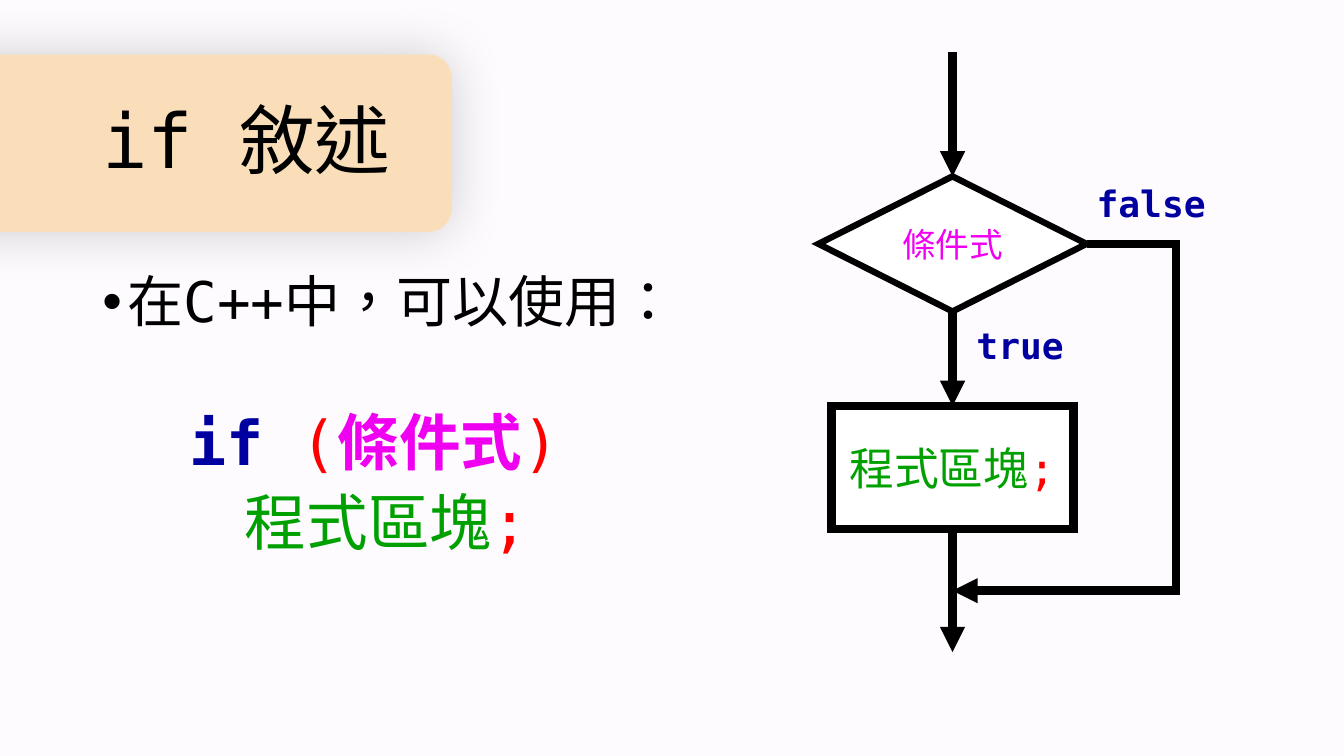
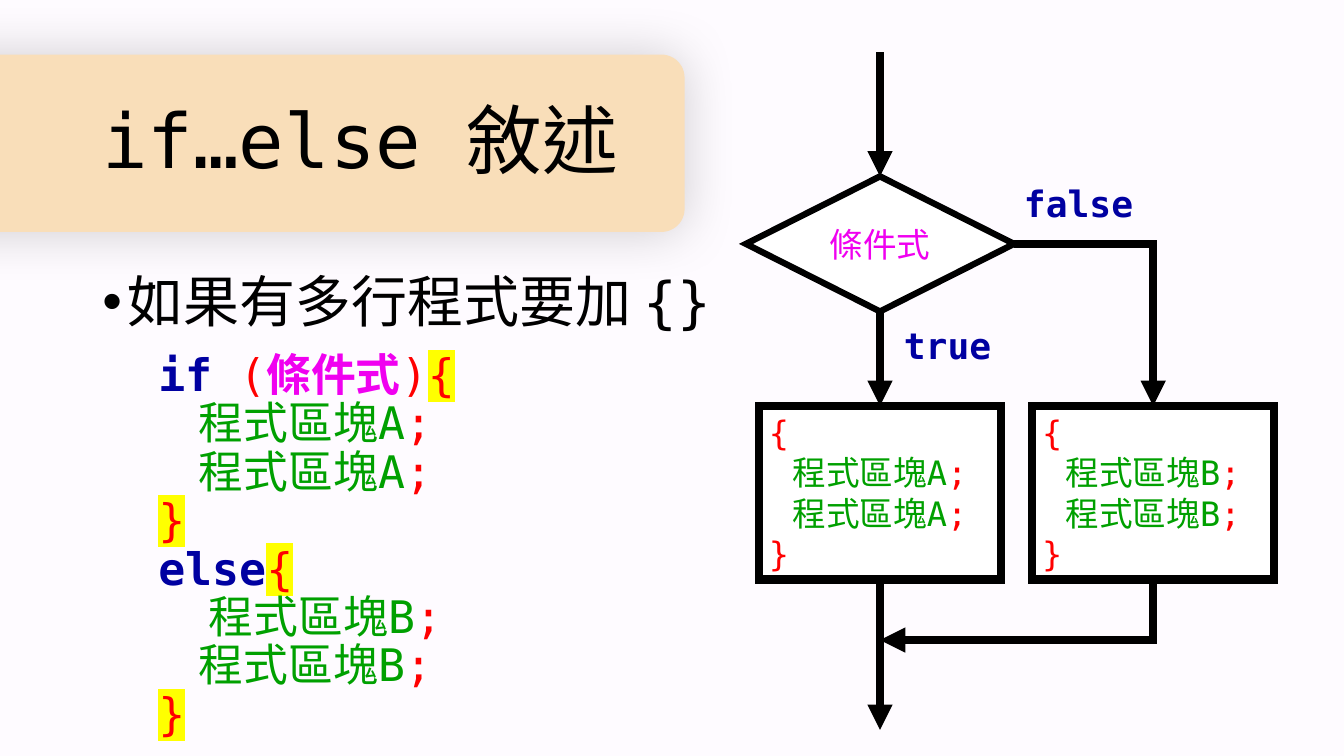
from dataclasses import dataclass
from typing import NamedTuple, Optional

import pptx
import pptx.dml.color
import pptx.enum.shapes
import pptx.enum.text
import pptx.oxml.ns
import pptx.util
from lxml import etree

Pt = pptx.util.Pt
RGBColor = pptx.dml.color.RGBColor
Shapes = pptx.enum.shapes.MSO_SHAPE
Connectors = pptx.enum.shapes.MSO_CONNECTOR
Anchor = pptx.enum.text.MSO_ANCHOR
Align = pptx.enum.text.PP_ALIGN
AutoSize = pptx.enum.text.MSO_AUTO_SIZE
qn = pptx.oxml.ns.qn


@dataclass(frozen=True)
class Theme:
    page: str = "FEFBFF"
    band: str = "F9DEB9"
    ink: str = "000000"
    white: str = "FFFFFF"
    keyword: str = "0000A1"
    symbol: str = "FF0000"
    condition: str = "F000F0"
    block: str = "00A000"
    marker: str = "FFFF00"
    font: str = "DejaVu Sans Mono"
    east_asian: str = "Calibri"
    title_size: float = 54
    body_size: float = 40
    label_size: float = 25.9
    small_size: float = 24
    code_size: float = 32
    large_code_size: float = 44
    thin: float = 4.5
    thick: float = 6


THEME = Theme()


class Span(NamedTuple):
    text: str
    color: str = THEME.ink
    bold: bool = False
    highlight: Optional[str] = None


class Line(NamedTuple):
    spans: list[Span]
    align: Align = Align.LEFT


class Area(NamedTuple):
    left: float
    top: float
    width: float
    height: float


class Point(NamedTuple):
    x: float
    y: float


@dataclass(frozen=True)
class Lesson:
    title: str
    band_right: float
    bullet: str
    code: list[Line]
    code_area: Area
    code_size: float
    code_gap: float
    axis: float
    block: list[Line]
    block_height: float
    block_size: float
    exit_end: float
    merge: float
    bypass: float
    else_block: Optional[list[Line]] = None


TITLE = Area(66, 51, 828, 104.4)
BODY = Area(66, 192, 828, 294.5)
BAND_LEFT, BAND_TOP, BAND_HEIGHT = -113, 39, 126.7
ENTRY_TOP = 37.4
DECISION_TOP, DECISION_WIDTH, DECISION_HEIGHT = 126, 191.5, 96.5
BLOCK_TOP, BLOCK_WIDTH = 290, 172.8

SEMICOLON = Span(";", THEME.symbol)
CONDITION = Span("條件式", THEME.condition)
OPEN = Span("{", THEME.symbol)
CLOSE = Span("}", THEME.symbol)
MARKED_OPEN = OPEN._replace(highlight=THEME.marker)
MARKED_CLOSE = CLOSE._replace(highlight=THEME.marker)
IF_HEAD = [
    Span("if ", THEME.keyword, True),
    Span("(", THEME.symbol),
    CONDITION._replace(bold=True),
    Span(")", THEME.symbol),
]


def statement(name: str, indent: str = "") -> list[Span]:
    lead = [Span(indent)] if indent else []
    return lead + [Span(name, THEME.block), SEMICOLON]


def braced(name: str) -> list[Line]:
    centred = Line(statement(name), Align.CENTER)
    return [Line([OPEN]), centred, centred, Line([CLOSE])]


def write(frame, lines: list[Line], size: float, spacing: float = 1, gap: float = 0) -> None:
    frame.word_wrap = True
    frame.auto_size = AutoSize.NONE
    for index, line in enumerate(lines):
        para = frame.paragraphs[0] if index == 0 else frame.add_paragraph()
        para.alignment = line.align
        para.line_spacing = spacing
        para.space_before = Pt(gap if index else 0)
        for span in line.spans:
            run = para.add_run()
            run.text = span.text
            run.font.size = Pt(size)
            run.font.bold = span.bold
            run.font.color.rgb = RGBColor.from_string(span.color)
            properties = run.font._element
            properties.set("lang", "zh-TW")
            if span.highlight:
                mark = etree.SubElement(properties, qn("a:highlight"))
                etree.SubElement(mark, qn("a:srgbClr"), val=span.highlight)
            run.font.name = THEME.font
            etree.SubElement(properties, qn("a:ea"), typeface=THEME.east_asian)


def place(shape, area: Area) -> None:
    shape.left, shape.top, shape.width, shape.height = map(Pt, area)


def add_text(page, area: Area, lines: list[Line], size: float,
             spacing: float, gap: float = 0) -> None:
    box = page.shapes.add_textbox(*map(Pt, area))
    box.text_frame.vertical_anchor = Anchor.MIDDLE
    write(box.text_frame, lines, size, spacing, gap)


def add_label(page, area: Area, word: str) -> None:
    add_text(page, area, [Line([Span(word, THEME.keyword, True)])], THEME.label_size, 0.8)


def stroke(shape, width: float):
    """Give a black mitred outline and return its XML element."""
    shape.line.color.rgb = RGBColor.from_string(THEME.ink)
    shape.line.width = Pt(width)
    outline = shape.element.spPr.find(qn("a:ln"))
    etree.SubElement(outline, qn("a:miter"), lim="800000")
    return outline


def add_node(page, kind: Shapes, area: Area, lines: list[Line], size: float, width: float):
    node = page.shapes.add_shape(kind, *map(Pt, area))
    node.shadow.inherit = False
    node.fill.solid()
    node.fill.fore_color.rgb = RGBColor.from_string(THEME.white)
    stroke(node, width)
    node.text_frame.vertical_anchor = Anchor.MIDDLE
    write(node.text_frame, lines, size)
    return node


def add_arrow(page, start: Point, end: Point, kind: Connectors = Connectors.STRAIGHT,
              arrow_end: str = "a:tailEnd"):
    arrow = page.shapes.add_connector(kind, *map(Pt, start + end))
    etree.SubElement(stroke(arrow, THEME.thick), qn(arrow_end), type="triangle")
    etree.SubElement(arrow.element.spPr, qn("a:effectLst"))
    return arrow


def add_corner(page, start: Point, end: Point, arrow_end: str = "a:tailEnd") -> None:
    """Draw an elbow that runs across first, then turns once."""
    arrow = add_arrow(page, start, end, Connectors.ELBOW, arrow_end)
    arrow.element.spPr.find(qn("a:prstGeom")).set("prst", "bentConnector2")


def add_bypass(page, start: Point, end: Point, turn: float) -> None:
    """Draw an elbow whose upright part stands at x = turn."""
    arrow = add_arrow(page, start, end, Connectors.ELBOW)
    ratio = round((turn - start.x) / (end.x - start.x) * 100000)
    guides = arrow.element.spPr.find(qn("a:prstGeom")).get_or_add_avLst()
    etree.SubElement(guides, qn("a:gd"), name="adj1", fmla=f"val {ratio}")


def add_band(page, right: float) -> None:
    area = Area(BAND_LEFT, BAND_TOP, right - BAND_LEFT, BAND_HEIGHT)
    band = page.shapes.add_shape(Shapes.ROUNDED_RECTANGLE, *map(Pt, area))
    band.adjustments[0] = 0.13
    band.fill.solid()
    band.fill.fore_color.rgb = RGBColor.from_string(THEME.band)
    band.line.fill.background()
    band.shadow.inherit = False
    effects = band.element.spPr.find(qn("a:effectLst"))
    shadow = etree.SubElement(effects, qn("a:outerShdw"), blurRad=str(Pt(38)),
                              dist="0", dir="0", algn="ctr", rotWithShape="0")
    color = etree.SubElement(shadow, qn("a:srgbClr"), val=THEME.ink)
    etree.SubElement(color, qn("a:alpha"), val="19000")
    page.shapes.element.insert(2, band.element)


def add_heading(page, lesson: Lesson) -> None:
    add_band(page, lesson.band_right)
    title, body = page.placeholders
    place(title, TITLE)
    title.text_frame.vertical_anchor = Anchor.MIDDLE
    write(title.text_frame, [Line([Span(lesson.title)])], THEME.title_size, 0.9)
    place(body, BODY)
    properties = body.text_frame.paragraphs[0]._p.get_or_add_pPr()
    properties.set("marL", str(Pt(18)))
    properties.set("indent", str(Pt(-18)))
    etree.SubElement(properties, qn("a:buFont"), typeface="Arial")
    etree.SubElement(properties, qn("a:buChar"), char="•")
    write(body.text_frame, [Line([Span(lesson.bullet)])], THEME.body_size, 0.9)


def add_block(page, lesson: Lesson, centre: float, lines: list[Line]):
    area = Area(centre - BLOCK_WIDTH / 2, BLOCK_TOP, BLOCK_WIDTH, lesson.block_height)
    return add_node(page, Shapes.FLOWCHART_PROCESS, area, lines, lesson.block_size, THEME.thick)


def add_flowchart(page, lesson: Lesson) -> None:
    axis = lesson.axis
    decision_area = Area(axis - DECISION_WIDTH / 2, DECISION_TOP, DECISION_WIDTH, DECISION_HEIGHT)
    decision = add_node(page, Shapes.FLOWCHART_DECISION, decision_area,
                        [Line([CONDITION], Align.CENTER)], THEME.small_size, THEME.thin)
    block = add_block(page, lesson, axis, lesson.block)
    decision_bottom = DECISION_TOP + DECISION_HEIGHT
    block_bottom = BLOCK_TOP + lesson.block_height

    entry = add_arrow(page, Point(axis, ENTRY_TOP), Point(axis, DECISION_TOP))
    entry.end_connect(decision, 0)
    accepted = add_arrow(page, Point(axis, decision_bottom), Point(axis, BLOCK_TOP))
    accepted.begin_connect(decision, 2)
    accepted.end_connect(block, 0)
    leaving = add_arrow(page, Point(axis, block_bottom), Point(axis, lesson.exit_end))
    leaving.begin_connect(block, 2)

    rejected = Point(axis + DECISION_WIDTH / 2, DECISION_TOP + DECISION_HEIGHT / 2)
    merge = Point(axis, lesson.merge)
    if lesson.else_block:
        add_block(page, lesson, lesson.bypass, lesson.else_block)
        add_corner(page, rejected, Point(lesson.bypass, BLOCK_TOP))
        add_corner(page, merge, Point(lesson.bypass, block_bottom), "a:headEnd")
    else:
        add_bypass(page, rejected, merge, lesson.bypass)
    add_label(page, Area(axis + 10, 232.6, 86, 34), "true")
    add_label(page, Area(rejected.x, 131, 96, 34), "false")


LESSONS = [
    Lesson(
        title="if 敘述", band_right=322.6, bullet="在C++中，可以使用：",
        code=[Line(IF_HEAD), Line(statement("程式區塊", "    "))],
        code_area=Area(128, 270, 379.5, 153.4),
        code_size=THEME.large_code_size, code_gap=10, axis=680.4,
        block=[Line(statement("程式區塊"), Align.CENTER)],
        block_height=87.8, block_size=THEME.code_size,
        exit_end=465.8, merge=421.9, bypass=840.2,
    ),
    Lesson(
        title="if…else 敘述", band_right=489, bullet="如果有多行程式要加 {}",
        code=[
            Line(IF_HEAD + [MARKED_OPEN]),
            *[Line(statement("程式區塊A", "    "))] * 2,
            Line([MARKED_CLOSE]),
            Line([Span("else", THEME.keyword, True), MARKED_OPEN]),
            *[Line(statement("程式區塊B", indent)) for indent in ("\t", "    ")],
            Line([MARKED_CLOSE]),
        ],
        code_area=Area(106, 240.5, 379.5, 299.5),
        code_size=THEME.code_size, code_gap=0, axis=628.6,
        block=braced("程式區塊A"), else_block=braced("程式區塊B"),
        block_height=123.8, block_size=THEME.small_size,
        exit_end=521.3, merge=457.2, bypass=823.7,
    ),
]


def main() -> None:
    deck = pptx.Presentation()
    deck.slide_width, deck.slide_height = Pt(960), Pt(540)
    background = deck.slide_master.background.fill
    background.solid()
    background.fore_color.rgb = RGBColor.from_string(THEME.page)
    for lesson in LESSONS:
        page = deck.slides.add_slide(deck.slide_layouts[1])
        add_heading(page, lesson)
        add_text(page, lesson.code_area, lesson.code, lesson.code_size, 0.9, lesson.code_gap)
        add_flowchart(page, lesson)
    deck.save("out.pptx")


if __name__ == "__main__":
    main()
